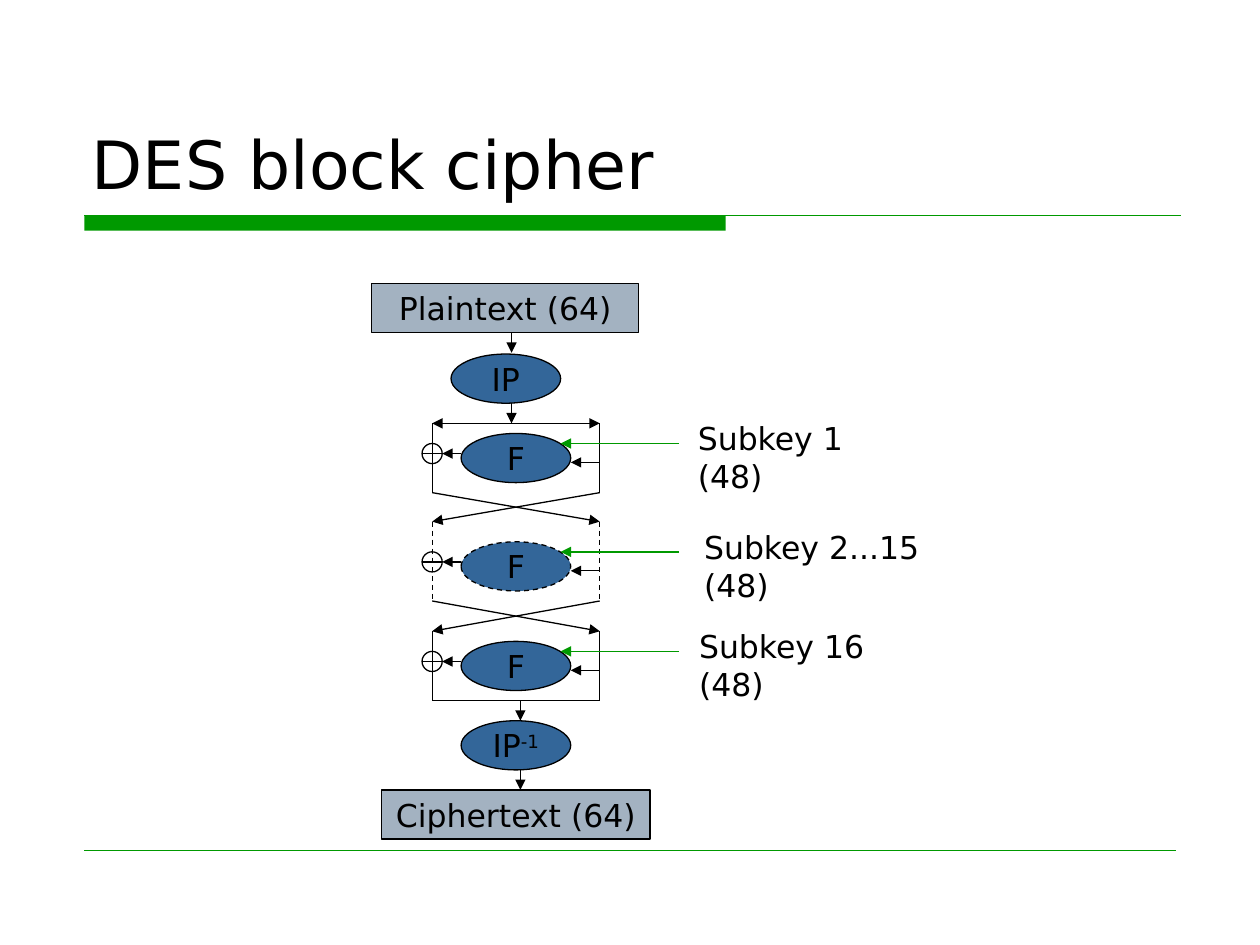
from dataclasses import dataclass

from lxml.etree import SubElement
from pptx import Presentation
from pptx.dml.color import RGBColor
from pptx.enum.dml import MSO_LINE
from pptx.enum.shapes import MSO_CONNECTOR, MSO_SHAPE
from pptx.enum.text import MSO_ANCHOR, PP_ALIGN
from pptx.oxml.ns import qn
from pptx.util import Inches, Pt


@dataclass(frozen=True)
class Theme:
    font: str = "DejaVu Sans"
    title_size: int = 38
    body_size: int = 18
    ink: str = "000000"
    green: str = "009900"
    block: str = "A3B2C1"
    step: str = "336699"
    stroke: float = 0.75
    hairline: float = 0.25


@dataclass(frozen=True)
class Box:
    left: float
    top: float
    width: float
    height: float

    @property
    def right(self):
        return self.left + self.width

    @property
    def bottom(self):
        return self.top + self.height

    @property
    def middle(self):
        return self.top + self.height / 2

    def emu(self):
        return [Inches(value) for value in (self.left, self.top, self.width, self.height)]


THEME = Theme()
OVAL_WIDTH, NODE_HEIGHT = 0.87, 0.39
ARROW_LENGTH = 0.16


def color(value):
    return RGBColor.from_string(value)


def add_run(paragraph, text, size=THEME.body_size):
    run = paragraph.add_run()
    run.text = text
    run.font.name = THEME.font
    run.font.size = Pt(size)
    run.font.color.rgb = color(THEME.ink)
    return run


def add_text(slide, box, text, size=THEME.body_size, anchor=MSO_ANCHOR.TOP):
    frame = slide.shapes.add_textbox(*box.emu()).text_frame
    frame.word_wrap = True
    frame.vertical_anchor = anchor
    add_run(frame.paragraphs[0], text, size)


def add_line(slide, start, end, stroke=THEME.ink, width=THEME.stroke, arrows=(), dashed=False):
    """Draw a line; arrows lists "headEnd" (start) and "tailEnd" (end) in that order."""
    points = [Inches(value) for value in (*start, *end)]
    connector = slide.shapes.add_connector(MSO_CONNECTOR.STRAIGHT, *points)
    connector.line.color.rgb = color(stroke)
    connector.line.width = Pt(width)
    if dashed:
        connector.line.dash_style = MSO_LINE.DASH
    properties = connector.line._get_or_add_ln()
    for arrow in arrows:
        SubElement(properties, qn(f"a:{arrow}"), type="triangle")
    SubElement(connector._element.spPr, qn("a:effectLst"))


def add_arrow(slide, start, end, stroke=THEME.ink):
    add_line(slide, start, end, stroke, arrows=["tailEnd"])


def add_node(slide, kind, box, fill=None, text="", power="", dashed=False):
    shape = slide.shapes.add_shape(kind, *box.emu())
    shape.shadow.inherit = False
    if fill:
        shape.fill.solid()
        shape.fill.fore_color.rgb = color(fill)
    else:
        shape.fill.background()
    shape.line.color.rgb = color(THEME.ink)
    shape.line.width = Pt(THEME.stroke)
    if dashed:
        shape.line.dash_style = MSO_LINE.DASH
    if text:
        frame = shape.text_frame
        frame.word_wrap = False
        frame.vertical_anchor = MSO_ANCHOR.MIDDLE
        paragraph = frame.paragraphs[0]
        paragraph.alignment = PP_ALIGN.CENTER
        add_run(paragraph, text)
        if power:
            add_run(paragraph, power).font._element.set("baseline", "30000")


def add_header(slide, box):
    add_text(slide, Box(box.left, box.top, box.width, 1.33), "DES block cipher",
             THEME.title_size, MSO_ANCHOR.BOTTOM)
    # Thick bar with a thin rule running on to the right
    rule_left = box.left + 0.04
    bar = slide.shapes.add_shape(MSO_SHAPE.RECTANGLE,
                                 *Box(rule_left, box.bottom, 5.09, 0.12).emu())
    bar.shadow.inherit = False
    bar.fill.solid()
    bar.fill.fore_color.rgb = color(THEME.green)
    bar.line.fill.background()
    add_line(slide, (rule_left, box.bottom), (box.right - 0.01, box.bottom), THEME.green)


def add_footer(slide, box):
    add_line(slide, (box.left, box.top), (box.right, box.top), THEME.green, THEME.hairline)


def add_round(slide, box, oval_top, subkey, label_left, label_width, dashed=False):
    """One Feistel round; box spans the two rails."""
    oval = Box(box.left + 0.23, oval_top, OVAL_WIDTH, NODE_HEIGHT)
    for x in (box.left, box.right):
        add_line(slide, (x, box.top), (x, box.bottom), dashed=dashed)
    add_node(slide, MSO_SHAPE.OVAL, oval, THEME.step, "F", dashed=dashed)
    # Right half into F
    input_y = oval_top + 0.23
    add_arrow(slide, (box.right, input_y), (oval.right, input_y))
    # F into the XOR on the left rail
    xor = Box(box.left - 0.08, oval_top + 0.08, 0.16, 0.16)
    add_arrow(slide, (oval.left, xor.middle), (xor.right, xor.middle))
    add_node(slide, MSO_SHAPE.OVAL, xor)
    add_line(slide, (xor.left, xor.middle), (xor.right, xor.middle))
    # Subkey into F
    add_arrow(slide, (5.39, xor.top), (oval.right - 0.08, xor.top), THEME.green)
    add_text(slide, Box(label_left, oval_top - 0.16, label_width, 0.4), subkey)


def add_swap(slide, upper, lower):
    add_arrow(slide, (upper.left, upper.bottom), (lower.right, lower.top))
    add_arrow(slide, (upper.right, upper.bottom), (lower.left, lower.top))


def add_cipher(slide, box):
    entry_x, exit_x = box.left + 1.11, box.left + 1.18
    rail_left, rail_gap = box.left + 0.48, 1.33

    # Plaintext and initial permutation
    plaintext = Box(box.left, box.top, 2.12, NODE_HEIGHT)
    initial = Box(box.left + 0.63, box.top + 0.56, OVAL_WIDTH, NODE_HEIGHT)
    add_node(slide, MSO_SHAPE.RECTANGLE, plaintext, THEME.block, "Plaintext (64)")
    add_node(slide, MSO_SHAPE.OVAL, initial, THEME.step, "IP")

    # Final permutation and ciphertext
    ciphertext = Box(box.left + 0.08, box.bottom - NODE_HEIGHT, 2.13, NODE_HEIGHT)
    final = Box(box.left + 0.71, ciphertext.top - 0.55, OVAL_WIDTH, NODE_HEIGHT)
    add_node(slide, MSO_SHAPE.OVAL, final, THEME.step, "IP", "-1")
    add_node(slide, MSO_SHAPE.RECTANGLE, ciphertext, THEME.block, "Ciphertext (64)")

    # Rounds: rail top, rail height, F top, subkey, label left, label width, dashed
    rounds = [
        (1.11, 0.55, 1.19, "Subkey 1 (48)", 2.49, 1.75, False),
        (1.89, 0.63, 2.05, "Subkey 2...15 (48)", 2.54, 2.24, True),
        (2.76, 0.55, 2.84, "Subkey 16 (48)", 2.50, 1.90, False),
    ]
    rails = []
    for top, height, oval_top, subkey, label_left, label_width, dashed in rounds:
        rail = Box(rail_left, box.top + top, rail_gap, height)
        add_round(slide, rail, box.top + oval_top, subkey,
                  box.left + label_left, label_width, dashed)
        rails.append(rail)
    for upper, lower in zip(rails, rails[1:]):
        add_swap(slide, upper, lower)

    # Split into halves, then join them again
    first, last = rails[0], rails[-1]
    add_line(slide, (first.left, first.top), (first.right, first.top),
             arrows=["headEnd", "tailEnd"])
    add_line(slide, (last.left, last.bottom), (last.right, last.bottom))

    # Vertical flow
    for x, y in ((entry_x, plaintext.bottom), (entry_x, initial.bottom),
                 (exit_x, last.bottom), (exit_x, final.bottom)):
        add_arrow(slide, (x, y), (x, y + ARROW_LENGTH))


def main():
    presentation = Presentation()
    presentation.slide_width, presentation.slide_height = Inches(10), Inches(7.5)
    slide = presentation.slides.add_slide(presentation.slide_layouts[6])
    add_header(slide, Box(0.63, 0.33, 8.75, 1.38))
    add_footer(slide, Box(0.67, 6.75, 8.66, 0))
    add_cipher(slide, Box(2.95, 2.25, 4.78, 4.41))
    presentation.save("out.pptx")


if __name__ == "__main__":
    main()
